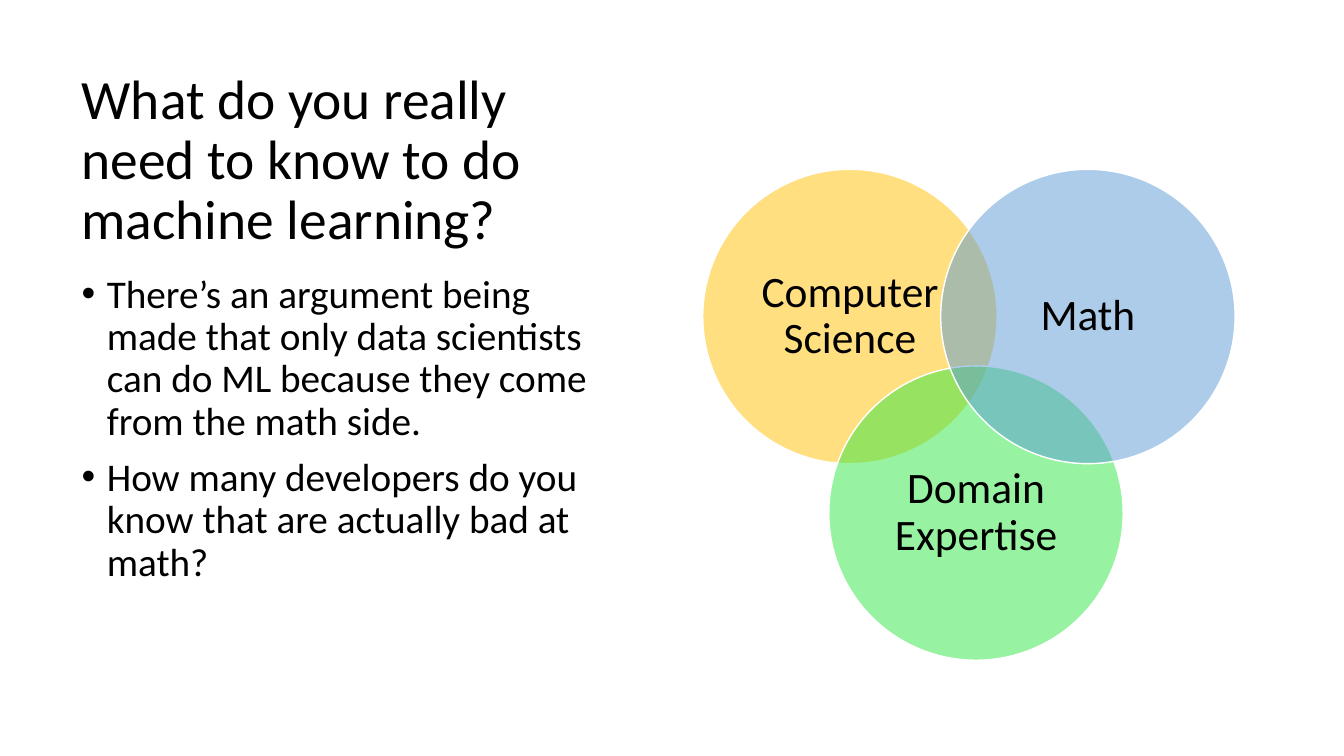
import pptx
import pptx.util
import pptx.dml.color
import pptx.enum.shapes
import pptx.enum.text
import pptx.oxml.ns
from lxml import etree

Inches = pptx.util.Inches
Pt = pptx.util.Pt
ALIGN = pptx.enum.text.PP_ALIGN
ANCHOR = pptx.enum.text.MSO_ANCHOR
COLORS = {"ink": "000000", "edge": "FFFFFF", "gold": "FFC000",
          "green": "30E845", "blue": "5B9BD5"}
TITLE = "What do you really need to know to do machine learning?"
POINTS = [
    "There’s an argument being made that only data scientists can do ML because they come from the math side.",
    "How many developers do you know that are actually bad at math?",
]
CIRCLES = [("Computer Science", "gold", 0, 0),
           ("Domain Expertise", "green", 1.25, 1.95),
           ("Math", "blue", 2.36, 0)]


def color(name):
    """Look up a named color."""
    return pptx.dml.color.RGBColor.from_string(COLORS[name])


def tag(owner, name, **attrs):
    """Append a drawing element to its owner."""
    return etree.SubElement(owner, pptx.oxml.ns.qn(name), attrs)


def place(shape, box):
    """Move a shape to a box given in inches."""
    shape.left, shape.top, shape.width, shape.height = map(Inches, box)


def style(par, size, align):
    """Format a paragraph and its runs."""
    par.alignment = align
    par.line_spacing = 0.9
    for run in par.runs:
        run.font.size = Pt(size)
        run.font.name = "Calibri"
        run.font.color.rgb = color("ink")


def setup(frame, anchor):
    """Set wrapping, fit and anchor of a text frame."""
    frame.word_wrap = True
    frame.auto_size = pptx.enum.text.MSO_AUTO_SIZE.NONE
    frame.vertical_anchor = anchor


def head(shape, box):
    """Fill the title."""
    place(shape, box)
    frame = shape.text_frame
    setup(frame, ANCHOR.MIDDLE)
    frame.text = TITLE
    style(frame.paragraphs[0], 39.6, ALIGN.LEFT)


def points(shape, box):
    """Fill the bulleted list."""
    place(shape, box)
    frame = shape.text_frame
    setup(frame, ANCHOR.TOP)
    frame.text = "\n".join(POINTS)
    for i, par in enumerate(frame.paragraphs):
        props = par._p.get_or_add_pPr()
        props.set("marL", str(Inches(0.25)))
        props.set("indent", str(-Inches(0.25)))
        par.space_before = Pt(10 if i else 0)
        style(par, 28, ALIGN.LEFT)
        tag(props, "a:buFont", typeface="Arial")
        tag(props, "a:buChar", char="•")


def venn(slide, box):
    """Draw three overlapping labeled circles."""
    left, top, size = box
    group = slide.shapes.add_group_shape()
    for label, hue, dx, dy in CIRCLES:
        disc = group.shapes.add_shape(
            pptx.enum.shapes.MSO_SHAPE.OVAL, Inches(left + dx),
            Inches(top + dy), Inches(size), Inches(size))
        disc.shadow.inherit = False
        disc.fill.solid()
        disc.fill.fore_color.rgb = color(hue)
        paint = disc._element.spPr.find(
            pptx.oxml.ns.qn("a:solidFill"))
        tag(paint[0], "a:alpha", val="50000")
        disc.line.color.rgb = color("edge")
        disc.line.width = Pt(1)
        frame = disc.text_frame
        setup(frame, ANCHOR.MIDDLE)
        frame.margin_left = frame.margin_right = Inches(0.13)
        frame.margin_top = frame.margin_bottom = Inches(0.13)
        frame.text = label
        style(frame.paragraphs[0], 31, ALIGN.CENTER)


def main():
    """Build and save the slide."""
    deck = pptx.Presentation()
    deck.slide_width = Inches(13.33)
    deck.slide_height = Inches(7.5)
    slide = deck.slides.add_slide(deck.slide_layouts[1])
    head(slide.shapes.title, (0.71, 0.69, 5.61, 1.83))
    points(slide.placeholders[1], (0.71, 2.67, 5.61, 4.14))
    venn(slide, (6.97, 1.68, 2.92))
    deck.save("out.pptx")


if __name__ == "__main__":
    main()
